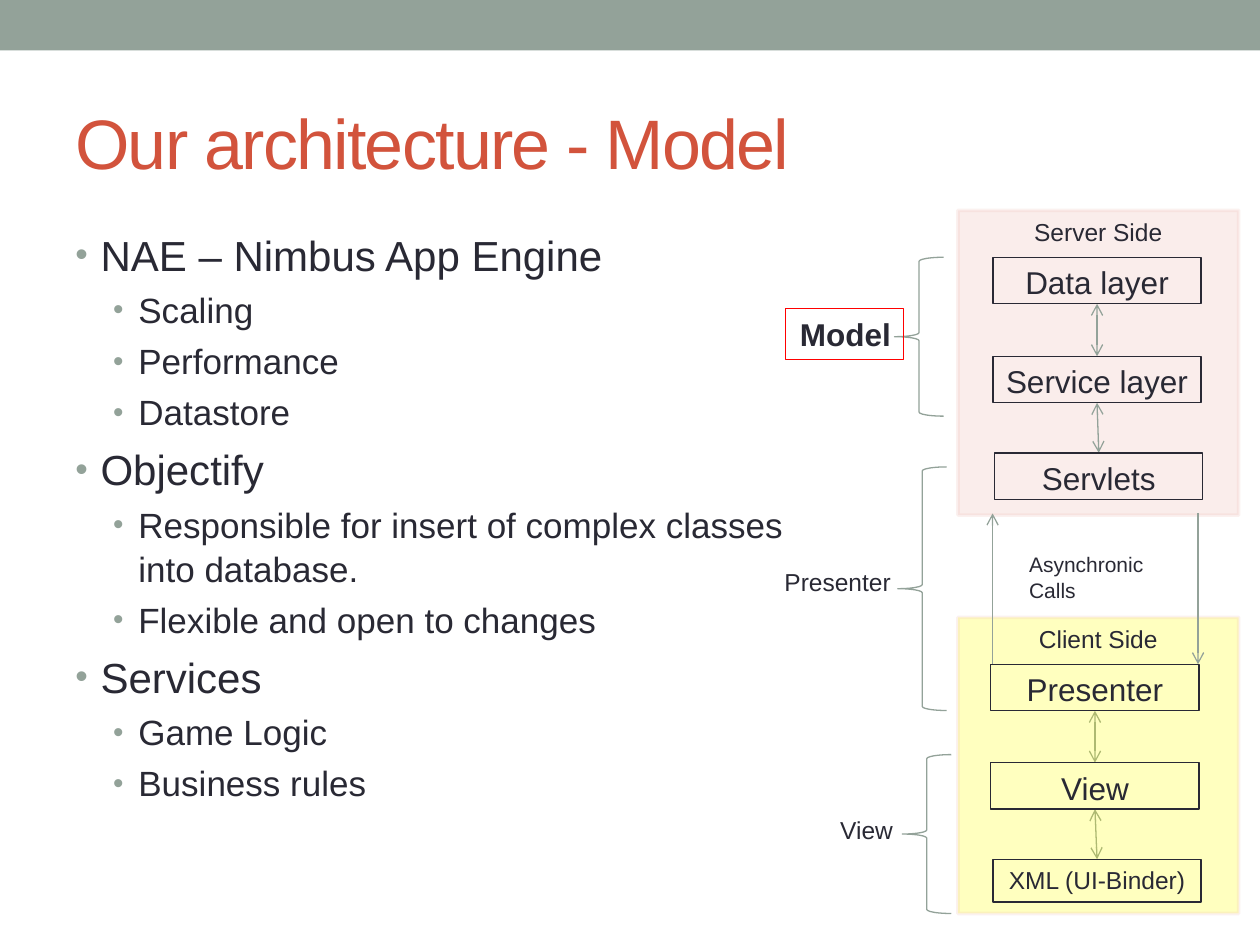
import pptx
import pptx.util
import pptx.dml.color
import pptx.enum.shapes
import pptx.enum.text
from lxml import etree
from dataclasses import dataclass

Pt = pptx.util.Pt
Kind = pptx.enum.shapes.MSO_SHAPE
Align = pptx.enum.text.PP_ALIGN
Anchor = pptx.enum.text.MSO_ANCHOR
rgb = pptx.dml.color.RGBColor.from_string
qn = pptx.oxml.ns.qn


@dataclass
class Theme:
    font: str = "Arial"
    ink: str = "292934"
    sage: str = "93A299"
    title_color: str = "D2533C"
    pink: str = "EDBAB1"
    yellow: str = "FFFF00"
    red: str = "FF0000"
    white: str = "FFFFFF"
    title: int = 40
    body: int = 24
    detail: int = 20
    box: int = 18
    label: int = 14
    note: int = 12


theme = Theme()
presentation = pptx.Presentation()
presentation.slide_width, presentation.slide_height = Pt(720), Pt(540)
slide = presentation.slides.add_slide(presentation.slide_layouts[6])


def write(frame, text, size=theme.label, color=theme.ink, bold=False, align=Align.LEFT,
          anchor=Anchor.TOP, wrap=True, tracking=None, level=None):
    """Write one paragraph; a level makes it a bullet of that depth."""
    frame.word_wrap = wrap
    frame.vertical_anchor = anchor
    paragraph = frame.paragraphs[0]
    if paragraph.runs:
        paragraph = frame.add_paragraph()
    paragraph.alignment = align
    run = paragraph.add_run()
    run.text = text
    run.font.name, run.font.size, run.font.bold = theme.font, Pt(size), bold
    run.font.color.rgb = rgb(color)
    if tracking is not None:
        run.font._element.set("spc", str(tracking * 100))
    if level is not None:
        paragraph.level = level
        paragraph.space_before = Pt(size * 0.2)
        paragraph.line_spacing = 1.05
        properties = paragraph._p.get_or_add_pPr()
        properties.set("marL", str(Pt(14.4 + 21.6 * level)))
        properties.set("indent", str(-Pt(14.4)))
        bullet_color = etree.SubElement(properties, qn("a:buClr"))
        etree.SubElement(bullet_color, qn("a:srgbClr"), val=theme.sage)
        etree.SubElement(properties, qn("a:buSzPct"), val="85000")
        etree.SubElement(properties, qn("a:buFont"), typeface=theme.font)
        etree.SubElement(properties, qn("a:buChar"), char="•")


def draw(kind, place, fill=None, line=None, width=0.75, fill_alpha=None, line_alpha=None):
    """Draw a preset shape, or a connector when kind is None."""
    if kind is None:
        shape = slide.shapes.add_connector(pptx.enum.shapes.MSO_CONNECTOR.STRAIGHT, *map(Pt, place))
    else:
        shape = slide.shapes.add_shape(kind, *map(Pt, place))
        shape.shadow.inherit = False
        if fill:
            shape.fill.solid()
            shape.fill.fore_color.rgb = rgb(fill)
        else:
            shape.fill.background()
    if line:
        shape.line.color.rgb = rgb(line)
        shape.line.width = Pt(width)
    else:
        shape.line.fill.background()
    properties = shape._element.spPr
    for steps, alpha in (("a:solidFill", fill_alpha), ("a:ln/a:solidFill", line_alpha)):
        if alpha:
            color = properties.find("/".join(map(qn, steps.split("/"))))[0]
            etree.SubElement(color, qn("a:alpha"), val=str(alpha * 1000))
    if kind is None:
        etree.SubElement(properties, qn("a:effectLst"))
    return shape


# Top band and title
draw(Kind.RECTANGLE, (0, 0, 720, 28.8), fill=theme.sage)
title = slide.shapes.add_textbox(Pt(36), Pt(41.8), Pt(648), Pt(77.8))
write(title.text_frame, "Our architecture - Model", size=theme.title,
      color=theme.title_color, anchor=Anchor.MIDDLE, tracking=-1)

# Layer boxes: left, top, height, text size
layers = {
    "Data layer": (567.4, 147, 26.6, theme.box),
    "Service layer": (567.4, 203.6, 26.6, theme.box),
    "Servlets": (568.4, 258.8, 26.6, theme.box),
    "Presenter": (566.2, 379.6, 26.6, theme.box),
    "View": (566.2, 435.8, 26.6, theme.box),
    "XML (UI-Binder)": (567.4, 491, 24.4, theme.label),
}
layer_width = 119

# Panels, each with arrows between its layers; the client panel tints its arrows
panels = [
    ("Server Side", 120.2, 174.2, theme.pink, ["Data layer", "Service layer", "Servlets"], False),
    ("Client Side", 352.8, 169.2, theme.yellow, ["Presenter", "View", "XML (UI-Binder)"], True),
]
arrows = []
for name, top, height, color, members, arrows_below in panels:
    links = []
    for upper, lower in zip(members, members[1:]):
        upper_left, upper_top, upper_height, _ = layers[upper]
        lower_left, lower_top, _, _ = layers[lower]
        links.append((upper_left + layer_width / 2, upper_top + upper_height,
                      lower_left + layer_width / 2, lower_top))
    if arrows_below:
        arrows += [(draw(None, link, line=theme.sage), True) for link in links]
    panel = draw(Kind.RECTANGLE, (547.4, top, 160.4, height), fill=color, line=theme.pink,
                 width=2.08, fill_alpha=25, line_alpha=20)
    write(panel.text_frame, name, align=Align.CENTER)
    if not arrows_below:
        arrows += [(draw(None, link, line=theme.sage), True) for link in links]

# Calls between client and server
for call in ((684.6, 293.4, 684.6, 379.6), (567.2, 379.6, 567.2, 293.4)):
    arrows.append((draw(None, call, line=theme.sage), False))
for arrow, both_ends in arrows:
    outline = arrow.line._get_or_add_ln()
    if both_ends:
        etree.SubElement(outline, qn("a:headEnd"), type="arrow")
    etree.SubElement(outline, qn("a:tailEnd"), type="arrow")
calls_note = draw(Kind.RECTANGLE, (581, 311.8, 93, 25.2), fill=theme.white)
write(calls_note.text_frame, "Asynchronic Calls", size=theme.note)

# Braces and their labels
for brace in ((511.2, 147, 28, 90.8), (513, 266.8, 28, 139.2), (515.6, 431.2, 28, 90.8)):
    draw(Kind.LEFT_BRACE, brace, line=theme.sage)
labels = [
    ("Model", (448.8, 176.4, 67.4, 29), theme.red, theme.box),
    ("Presenter", (441.2, 320.6, 75, 24.2), None, theme.label),
    ("View", (470.6, 462.4, 46.8, 24.2), None, theme.label),
]
for text, place, line, size in labels:
    label = draw(Kind.RECTANGLE, place, line=line)
    write(label.text_frame, text, size=size, bold=line is not None, align=Align.RIGHT, wrap=False)

# Layer boxes on top of the panels
for text, (left, top, height, size) in layers.items():
    layer = draw(Kind.RECTANGLE, (left, top, layer_width, height), line=theme.ink)
    write(layer.text_frame, text, size=size, align=Align.CENTER)

# Bullets
topics = {
    "NAE – Nimbus App Engine": ["Scaling", "Performance", "Datastore"],
    "Objectify": ["Responsible for insert of complex classes into database.",
                  "Flexible and open to changes"],
    "Services": ["Game Logic", "Business rules"],
}
body = slide.shapes.add_textbox(Pt(36), Pt(126), Pt(427), Pt(383.8))
for topic, details in topics.items():
    write(body.text_frame, topic, size=theme.body, level=0)
    for detail in details:
        write(body.text_frame, detail, size=theme.detail, level=1)

presentation.save("out.pptx")
